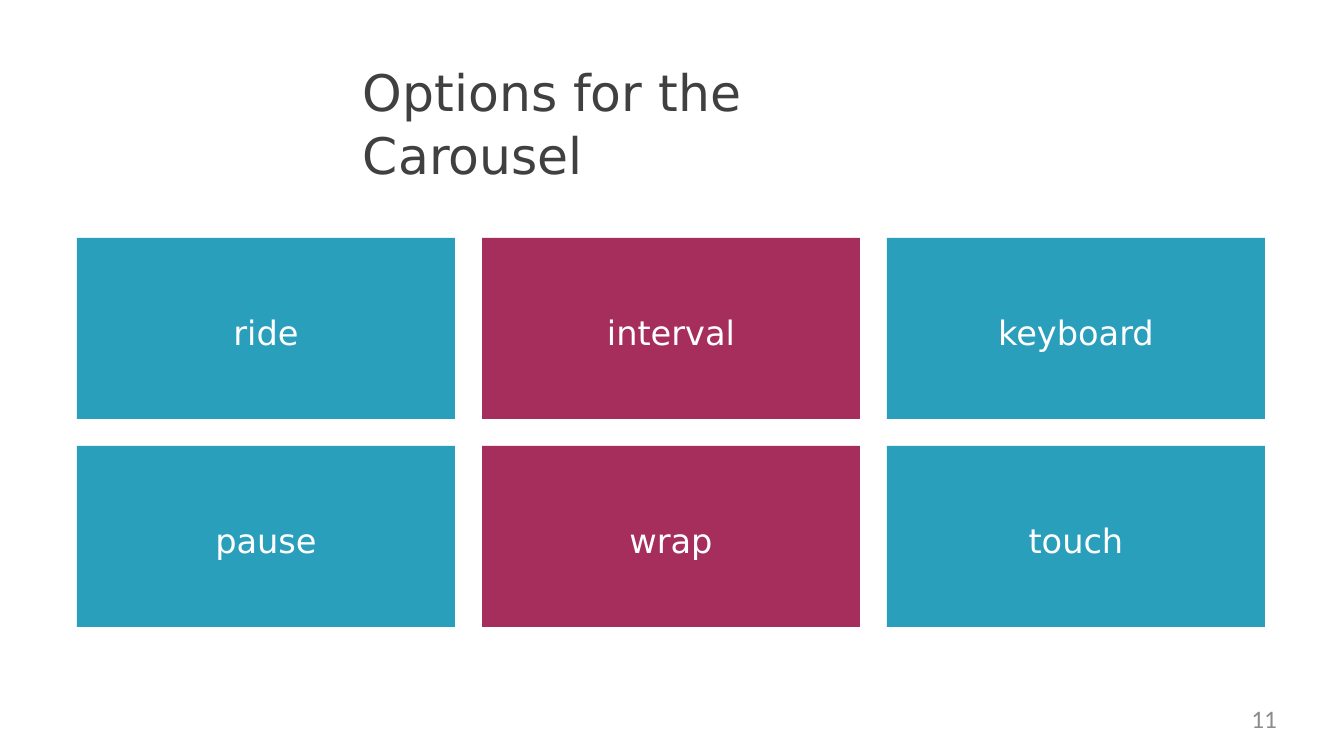
from dataclasses import dataclass

from pptx import Presentation
from pptx.dml.color import RGBColor as Rgb
from pptx.enum.shapes import MSO_SHAPE as Shape
from pptx.enum.text import MSO_ANCHOR as Anchor, PP_ALIGN as Align
from pptx.util import Emu, Pt

SCALE = 914400 / 100.8


@dataclass(frozen=True)
class Theme:
    """Hold the colours, fonts and type sizes."""
    teal: Rgb = Rgb(0x2A, 0x9F, 0xBC)
    wine: Rgb = Rgb(0xA6, 0x2E, 0x5C)
    white: Rgb = Rgb(0xFF, 0xFF, 0xFF)
    dark: Rgb = Rgb(0x40, 0x40, 0x40)
    grey: Rgb = Rgb(0x8C, 0x8C, 0x8C)
    sans: str = "DejaVu Sans"
    plain: str = "Calibri"
    head: Pt = Pt(36)
    label: Pt = Pt(24)
    small: Pt = Pt(18)


THEME = Theme()


def px(*sizes):
    """Turn pixel lengths into EMU."""
    return [Emu(round(size * SCALE)) for size in sizes]


def assign(item, values):
    """Set every attribute in a dict of format values."""
    for name, value in values.items():
        setattr(item, name, value)


def write(shape, text, face, size, ink, align, anchor=Anchor.TOP, top=0, lead=1.0):
    """Put one formatted paragraph into a shape."""
    frame = shape.text_frame
    assign(frame, {"word_wrap": True, "vertical_anchor": anchor,
                   "margin_left": 0, "margin_right": 0,
                   "margin_top": px(top)[0], "margin_bottom": 0})
    para = frame.paragraphs[0]
    assign(para, {"alignment": align, "line_spacing": lead})
    run = para.add_run()
    run.text = text
    assign(run.font, {"name": face, "size": size})
    run.font.color.rgb = ink


def title(slide, box, text):
    """Write the slide title."""
    write(slide.shapes.add_textbox(*px(*box)), text, THEME.sans, THEME.head,
          THEME.dark, Align.LEFT, top=2, lead=1.04)


def tile(slide, box, text, fill):
    """Draw one option as a filled box."""
    shape = slide.shapes.add_shape(Shape.RECTANGLE, *px(*box))
    shape.shadow.inherit = False
    shape.fill.solid()
    shape.fill.fore_color.rgb = fill
    shape.line.fill.background()
    write(shape, text, THEME.sans, THEME.label, THEME.white,
          Align.CENTER, Anchor.MIDDLE, top=8)


def grid(slide, box, rows, gap):
    """Lay out the options in equal tiles, one colour per column."""
    left, top, width, height = box
    fills = THEME.teal, THEME.wine, THEME.teal
    wide = (width - gap * (len(fills) - 1)) // len(fills)
    high = (height - gap * (len(rows) - 1)) // len(rows)
    for row, names in enumerate(rows):
        for col, (name, fill) in enumerate(zip(names, fills)):
            spot = left + col * (wide + gap), top + row * (high + gap)
            tile(slide, (*spot, wide, high), name, fill)


def number(slide, box, text):
    """Write the page number."""
    write(slide.shapes.add_textbox(*px(*box)), text, THEME.plain, THEME.small,
          THEME.grey, Align.RIGHT)


def main():
    """Build and save the slide."""
    deck = Presentation()
    deck.slide_width, deck.slide_height = px(1344, 756)
    slide = deck.slides.add_slide(deck.slide_layouts[6])
    title(slide, (363, 57, 600, 64), "Options for the Carousel")
    rows = ("ride", "interval", "keyboard"), ("pause", "wrap", "touch")
    grid(slide, (77, 238, 1188, 389), rows, 27)
    number(slide, (968, 703, 309, 38), "11")
    deck.save("out.pptx")


if __name__ == "__main__":
    main()
